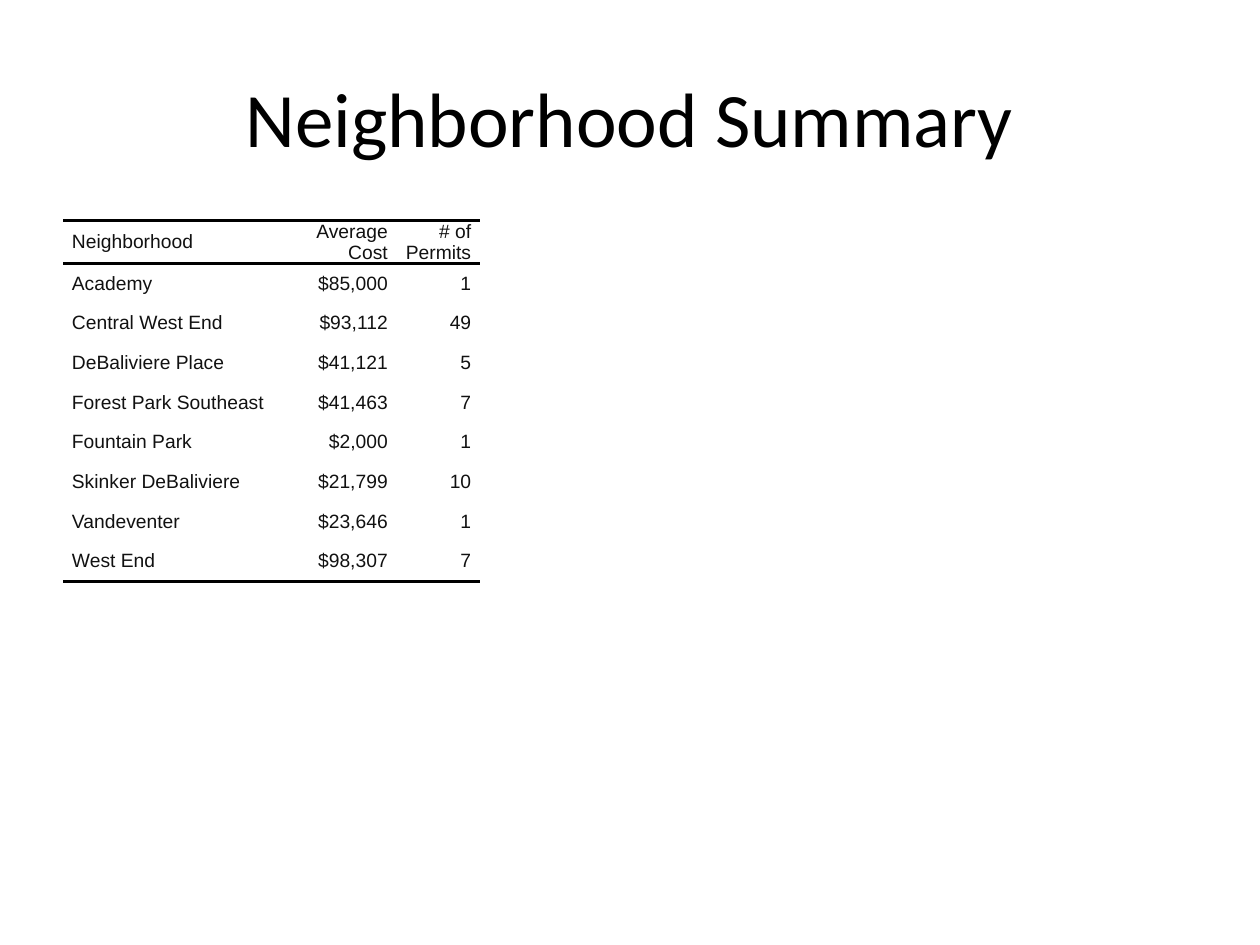
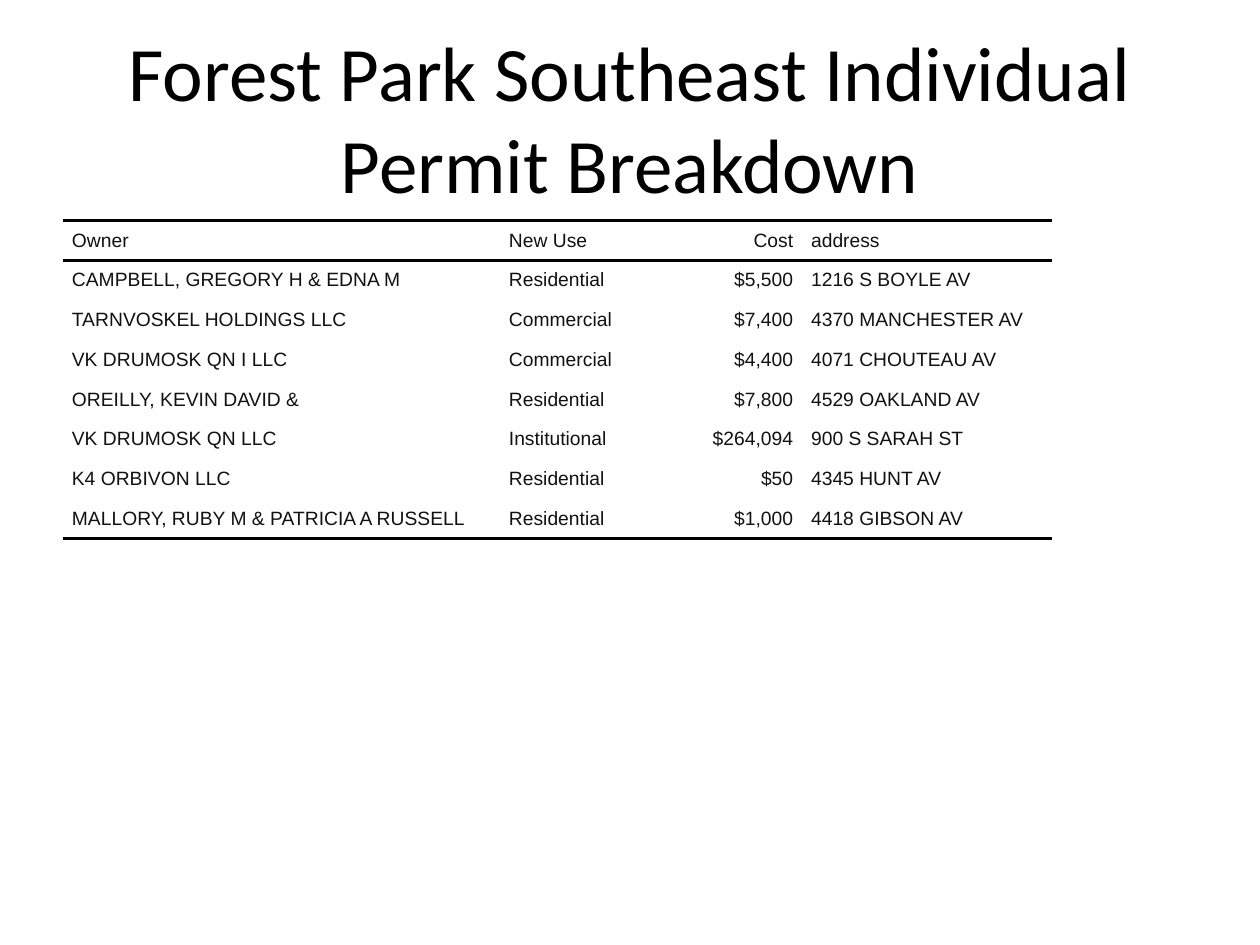
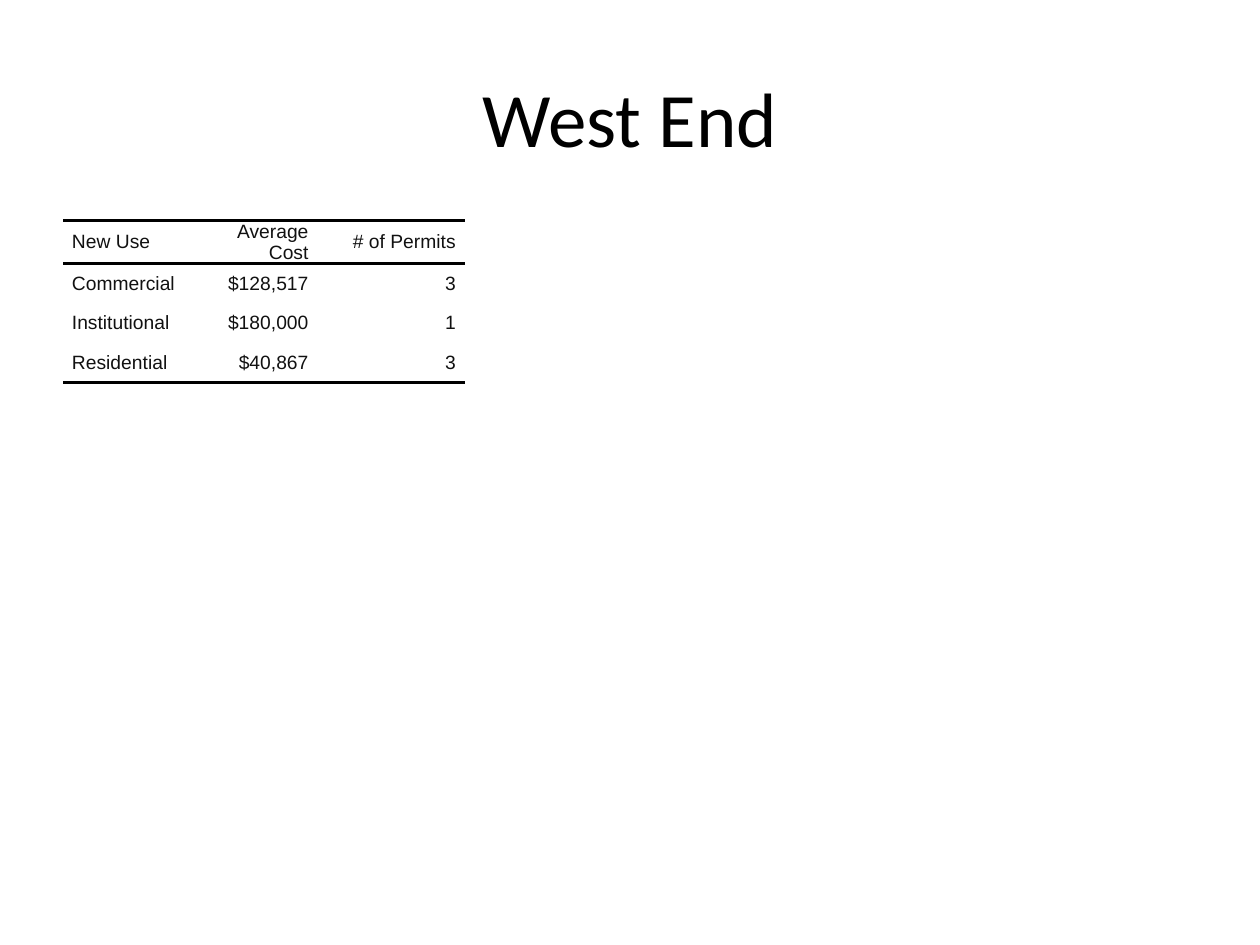
from dataclasses import dataclass

from lxml import etree
from pptx import Presentation
from pptx import util as u
from pptx.dml.color import RGBColor
from pptx.enum import text
from pptx.oxml import ns


@dataclass(frozen=True)
class Theme:
    title_font: str = "Calibri"
    table_font: str = "Arial"
    title_size: int = 44
    table_size: int = 11
    rule_width: int = 2
    title_color: str = "000000"
    cell_color: str = "111111"
    rule_color: str = "000000"
    plain_table: str = "{2D5ABB26-0587-4C30-8999-92F81FD0307C}"


THEME = Theme()

# Boxes in cm: left, top, width, height
TITLE_BOX = (1.27, 0.76, 22.86, 3.18)
TABLE_BOX = (1.27, 4.45, 22.86, 12.57)
ROW_HEIGHT = 0.8
CELL_MARGIN = 0.18

LEFT, RIGHT = text.PP_ALIGN.LEFT, text.PP_ALIGN.RIGHT

# Each slide: title, columns (heading, width in cm, alignment), rows
SLIDES = [
    (
        "Neighborhood Summary",
        [("Neighborhood", 4.6, LEFT), ("Average Cost", 2.13, RIGHT), ("# of Permits", 1.68, RIGHT)],
        [
            ("Academy", "$85,000", "1"),
            ("Central West End", "$93,112", "49"),
            ("DeBaliviere Place", "$41,121", "5"),
            ("Forest Park Southeast", "$41,463", "7"),
            ("Fountain Park", "$2,000", "1"),
            ("Skinker DeBaliviere", "$21,799", "10"),
            ("Vandeventer", "$23,646", "1"),
            ("West End", "$98,307", "7"),
        ],
    ),
    (
        "Forest Park Southeast Individual Permit Breakdown",
        [("Owner", 8.81, LEFT), ("New Use", 2.79, LEFT), ("Cost", 3.3, RIGHT), ("address", 5.03, LEFT)],
        [
            ("CAMPBELL, GREGORY H & EDNA M", "Residential", "$5,500", "1216 S BOYLE AV"),
            ("TARNVOSKEL HOLDINGS LLC", "Commercial", "$7,400", "4370 MANCHESTER AV"),
            ("VK DRUMOSK QN I LLC", "Commercial", "$4,400", "4071 CHOUTEAU AV"),
            ("OREILLY, KEVIN DAVID &", "Residential", "$7,800", "4529 OAKLAND AV"),
            ("VK DRUMOSK QN LLC", "Institutional", "$264,094", "900 S SARAH ST"),
            ("K4 ORBIVON LLC", "Residential", "$50", "4345 HUNT AV"),
            ("MALLORY, RUBY M & PATRICIA A RUSSELL", "Residential", "$1,000", "4418 GIBSON AV"),
        ],
    ),
    (
        "West End",
        [("New Use", 2.79, LEFT), ("Average Cost", 2.34, RIGHT), ("# of Permits", 2.97, RIGHT)],
        [
            ("Commercial", "$128,517", "3"),
            ("Institutional", "$180,000", "1"),
            ("Residential", "$40,867", "3"),
        ],
    ),
]


def style_spans(para, font, size, color):
    for span in para.runs:
        span.font.name = font
        span.font.size = u.Pt(size)
        span.font.color.rgb = RGBColor.from_string(color)
        span.font.bold = False


def add_title(slide, box, words):
    shape = slide.shapes.add_textbox(*map(u.Cm, box))
    frame = shape.text_frame
    frame.word_wrap = True
    frame.auto_size = text.MSO_AUTO_SIZE.NONE
    frame.vertical_anchor = text.MSO_ANCHOR.MIDDLE
    frame.text = words
    para = frame.paragraphs[0]
    para.alignment = text.PP_ALIGN.CENTER
    style_spans(para, THEME.title_font, THEME.title_size, THEME.title_color)


def add_rules(cell, sides):
    """Draw rules on the given sides, listed in the order lnT, lnB."""
    properties = cell._tc.get_or_add_tcPr()
    for position, side in enumerate(sides):
        line = etree.Element(ns.qn(f"a:{side}"), w=str(u.Pt(THEME.rule_width)))
        fill = etree.SubElement(line, ns.qn("a:solidFill"))
        etree.SubElement(fill, ns.qn("a:srgbClr"), val=THEME.rule_color)
        properties.insert(position, line)


def fill_cell(cell, words, alignment):
    cell.margin_left = cell.margin_right = cell.margin_top = cell.margin_bottom = 0
    cell.vertical_anchor = text.MSO_ANCHOR.MIDDLE
    cell.fill.background()
    cell.text_frame.text = words
    para = cell.text_frame.paragraphs[0]
    para.alignment = alignment
    para.space_before = para.space_after = u.Pt(2)
    # Side margins belong to the paragraph
    properties = para._p.get_or_add_pPr()
    for side in ("marL", "marR"):
        properties.set(side, str(u.Cm(CELL_MARGIN)))
    properties.set("indent", "0")
    style_spans(para, THEME.table_font, THEME.table_size, THEME.cell_color)


def add_permit_table(slide, box, columns, rows):
    headings, widths, alignments = zip(*columns)
    lines = [headings, *rows]
    left, top, width, height = map(u.Cm, box)
    holder = slide.shapes.add_table(len(lines), len(columns), left, top, width, height)
    table = holder.table
    table.horz_banding = table.first_row = False
    table._tbl.tblPr.find(ns.qn("a:tableStyleId")).text = THEME.plain_table

    # Grid
    for column, column_width in zip(table.columns, widths):
        column.width = u.Cm(column_width)
    for row in table.rows:
        row.height = u.Cm(ROW_HEIGHT)
    holder.width, holder.height = width, height

    # Cells, with rules around the heading and under the last row
    for row_index, line in enumerate(lines):
        sides = {0: ("lnT", "lnB"), len(rows): ("lnB",)}.get(row_index, ())
        for column_index, words in enumerate(line):
            cell = table.cell(row_index, column_index)
            fill_cell(cell, words, alignments[column_index])
            add_rules(cell, sides)


def main():
    deck = Presentation()
    deck.slide_width, deck.slide_height = u.Cm(25.4), u.Cm(19.05)
    for title, columns, rows in SLIDES:
        slide = deck.slides.add_slide(deck.slide_layouts[6])
        add_title(slide, TITLE_BOX, title)
        add_permit_table(slide, TABLE_BOX, columns, rows)
    deck.save("out.pptx")


if __name__ == "__main__":
    main()
